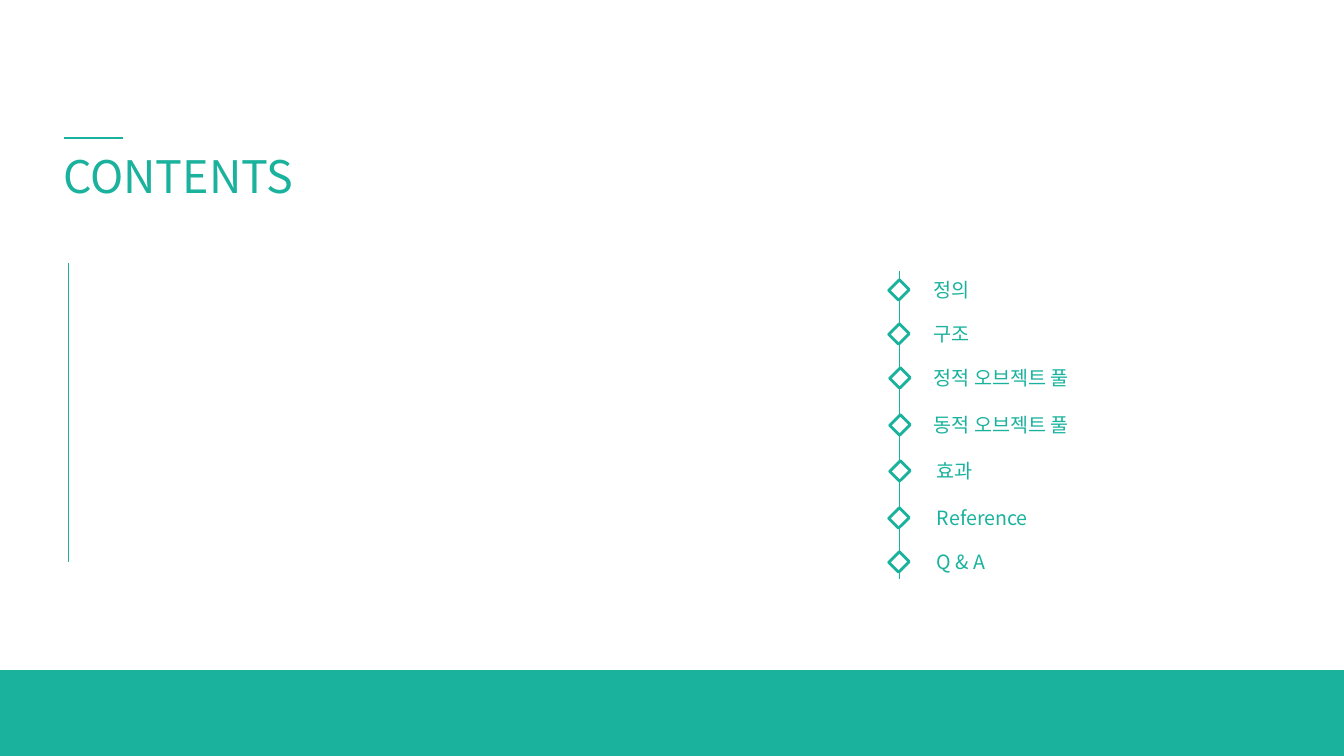
from lxml import etree
from pptx import Presentation
from pptx.dml.color import RGBColor
from pptx.enum.shapes import MSO_CONNECTOR, MSO_SHAPE
from pptx.enum.text import MSO_ANCHOR, MSO_AUTO_SIZE, PP_ALIGN
from pptx.oxml.ns import qn
from pptx.util import Pt

RECTANGLE = MSO_SHAPE.RECTANGLE
STRAIGHT = MSO_CONNECTOR.STRAIGHT
LEFT = PP_ALIGN.LEFT
TOP = MSO_ANCHOR.TOP
FIT_SHAPE = MSO_AUTO_SIZE.SHAPE_TO_FIT_TEXT

FONT = "Noto Sans CJK KR"
TEAL = "1AB29D"
WHITE = "FFFFFF"
TITLE = "CONTENTS"

# label, marker centre x, row centre y, label left, label width
ITEMS = [
    ("정의", 899, 290, 924, 57),
    ("구조", 899, 334, 924, 57),
    ("정적 오브젝트 풀", 900, 378, 924, 170),
    ("동적 오브젝트 풀", 900, 425, 924, 170),
    ("효과", 900, 471, 927, 57),
    ("Reference", 899, 518, 927, 112),
    ("Q & A", 899, 562, 927, 84),
]
# x1, y1, x2, y2, width in points
LINES = [
    (68, 263, 68, 562, 0.5),
    (899, 271, 899, 579, 0.5),
    (123, 138, 64, 138, 2),
]
MARKER_WIDTH, MARKER_HEIGHT = 14, 15
LABEL_HEIGHT = 34
SLIDE_WIDTH, SLIDE_HEIGHT = 1344, 756
FOOTER_TOP = 670


def px(*lengths):
    """Turn pixels (100.8 to the inch) into EMU."""
    return [round(length * 914400 / 100.8) for length in lengths]


def color(value):
    return RGBColor.from_string(value)


def write_text(shape, text, size, fill=TEAL):
    frame = shape.text_frame
    frame.word_wrap = False
    frame.auto_size = FIT_SHAPE
    frame.vertical_anchor = TOP
    paragraph = frame.paragraphs[0]
    paragraph.alignment = LEFT
    run = paragraph.add_run()
    run.text = text
    run.font.size = Pt(size)
    run.font.name = FONT
    run.font.color.rgb = color(fill)
    east_asian = etree.Element(qn("a:ea"), typeface=FONT)
    run.font._element.find(qn("a:latin")).addnext(east_asian)
    return run


def outline_text(run, width, value, alpha):
    line = etree.Element(qn("a:ln"), w=str(Pt(width)))
    fill = etree.SubElement(line, qn("a:solidFill"))
    tint = etree.SubElement(fill, qn("a:srgbClr"), val=value)
    etree.SubElement(tint, qn("a:alpha"), val=str(alpha * 1000))
    run.font._element.insert(0, line)


def add_rectangle(slide, box, fill, line_width=0, rotation=0):
    shape = slide.shapes.add_shape(RECTANGLE, *px(*box))
    shape.shadow.inherit = False
    shape.rotation = rotation
    shape.fill.solid()
    shape.fill.fore_color.rgb = color(fill)
    if line_width:
        shape.line.color.rgb = color(TEAL)
        shape.line.width = Pt(line_width)
    else:
        shape.line.fill.background()


def add_line(slide, x1, y1, x2, y2, width):
    connector = slide.shapes.add_connector(STRAIGHT, *px(x1, y1, x2, y2))
    connector.line.color.rgb = color(TEAL)
    connector.line.width = Pt(width)
    etree.SubElement(connector._element.spPr, qn("a:effectLst"))


def main():
    presentation = Presentation()
    presentation.slide_width, presentation.slide_height = px(SLIDE_WIDTH, SLIDE_HEIGHT)
    slide = presentation.slides.add_slide(presentation.slide_layouts[5])

    title = slide.shapes.title
    title.left, title.top, title.width, title.height = px(53, 144, 253, 65)
    outline_text(write_text(title, TITLE, 32), 0.75, TEAL, 30)

    add_rectangle(slide, (0, FOOTER_TOP, SLIDE_WIDTH, SLIDE_HEIGHT - FOOTER_TOP), TEAL)
    for line in LINES:
        add_line(slide, *line)

    for label, marker_x, center_y, label_left, label_width in ITEMS:
        marker = (marker_x - MARKER_WIDTH / 2, center_y - MARKER_HEIGHT / 2,
                  MARKER_WIDTH, MARKER_HEIGHT)
        add_rectangle(slide, marker, WHITE, line_width=2, rotation=45)
        box = (label_left, center_y - LABEL_HEIGHT / 2, label_width, LABEL_HEIGHT)
        write_text(slide.shapes.add_textbox(*px(*box)), label, 14)

    presentation.save("out.pptx")


if __name__ == "__main__":
    main()
